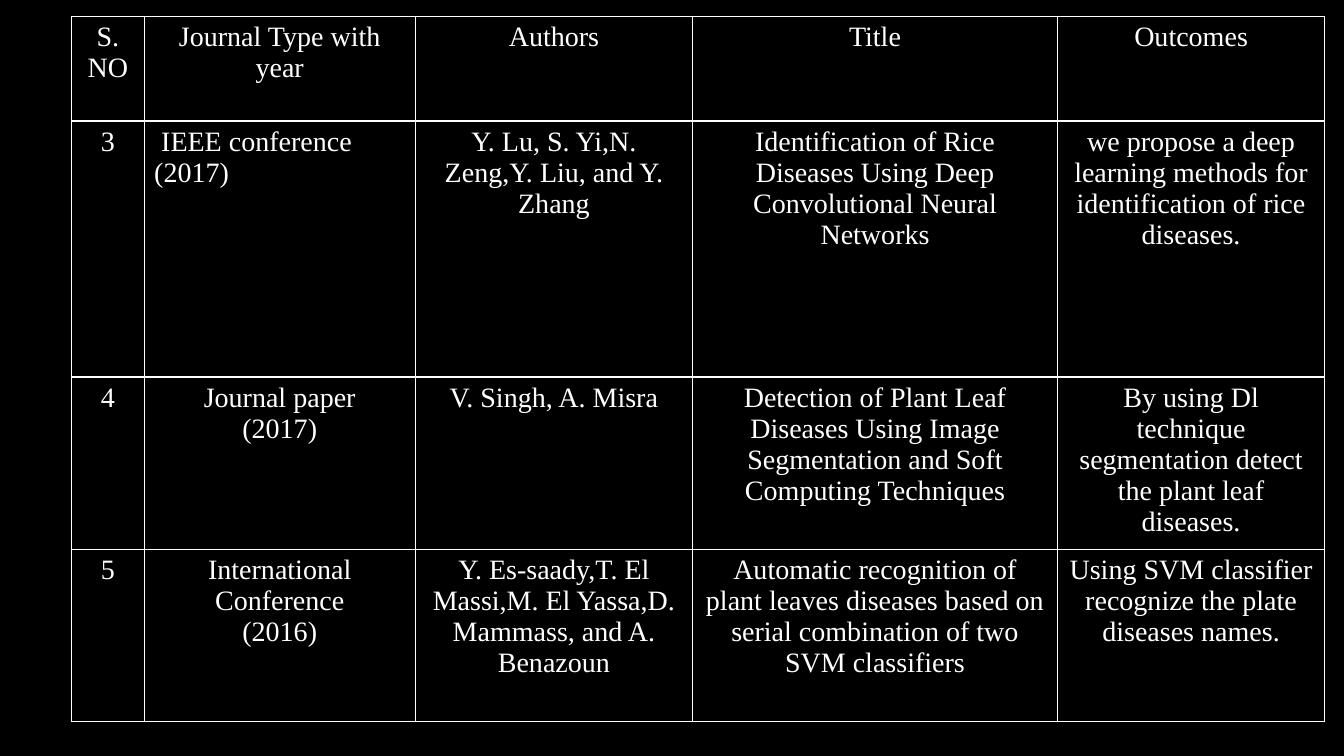
"""Build a literature survey slide with a white-ruled table on black."""
from lxml.etree import SubElement
from pptx import Presentation
from pptx.dml.color import RGBColor
from pptx.enum.text import PP_ALIGN
from pptx.oxml.ns import qn
from pptx.util import Inches, Pt

BLACK = RGBColor(0x00, 0x00, 0x00)
WHITE = RGBColor(0xFF, 0xFF, 0xFF)
FONT_FORMAT = {"name": "Times New Roman", "size": Pt(20), "bold": False}
COLUMN_WIDTHS = [0.72, 2.69, 2.75, 3.62, 2.65]
ROW_HEIGHTS = [1.04, 2.54, 1.71, 1.71]
SURVEY = [
    ["S. NO", "Journal Type with year", "Authors", "Title", "Outcomes"],
    ["3", " IEEE conference\n(2017)",
     "Y. Lu, S. Yi,N. Zeng,Y. Liu, and Y. Zhang",
     "Identification of Rice Diseases Using Deep Convolutional Neural Networks",
     "we propose a deep learning methods for identification of rice diseases."],
    ["4", "Journal paper\n(2017)",
     "V. Singh, A. Misra",
     "Detection of Plant Leaf Diseases Using Image Segmentation and Soft Computing Techniques",
     "By using Dl technique segmentation detect the plant leaf diseases."],
    ["5", "International Conference\n(2016)",
     "Y. Es-saady,T. El Massi,M. El Yassa,D. Mammass, and A. Benazoun",
     "Automatic recognition of plant leaves diseases based on serial combination of two SVM classifiers",
     "Using SVM classifier recognize the plate diseases names."],
]
LEFT_ALIGNED_CELL = (1, 1)


def add_borders(cell):
    properties = cell._tc.get_or_add_tcPr()
    for side in ("a:lnL", "a:lnR", "a:lnT", "a:lnB"):
        line = SubElement(properties, qn(side), w=str(Pt(1)))
        fill = SubElement(line, qn("a:solidFill"))
        SubElement(fill, qn("a:srgbClr"), val=str(WHITE))


presentation = Presentation()
presentation.slide_width = Inches(13.33)
presentation.slide_height = Inches(7.5)
slide = presentation.slides.add_slide(presentation.slide_layouts[6])
slide.background.fill.solid()
slide.background.fill.fore_color.rgb = BLACK

table = slide.shapes.add_table(
    len(ROW_HEIGHTS), len(COLUMN_WIDTHS), Inches(0.71), Inches(0.16),
    Inches(sum(COLUMN_WIDTHS)), Inches(sum(ROW_HEIGHTS))).table
table.first_row = False
table.horz_banding = False
for column, width in zip(table.columns, COLUMN_WIDTHS):
    column.width = Inches(width)
for row, height in zip(table.rows, ROW_HEIGHTS):
    row.height = Inches(height)

for row_index, entries in enumerate(SURVEY):
    for column_index, text in enumerate(entries):
        cell = table.cell(row_index, column_index)
        add_borders(cell)
        cell.fill.solid()
        cell.fill.fore_color.rgb = BLACK
        cell.text = text
        is_left = (row_index, column_index) == LEFT_ALIGNED_CELL
        for paragraph in cell.text_frame.paragraphs:
            paragraph.alignment = PP_ALIGN.LEFT if is_left else PP_ALIGN.CENTER
            for run in paragraph.runs:
                for attribute, value in FONT_FORMAT.items():
                    setattr(run.font, attribute, value)
                run.font.color.rgb = WHITE

presentation.save("out.pptx")
